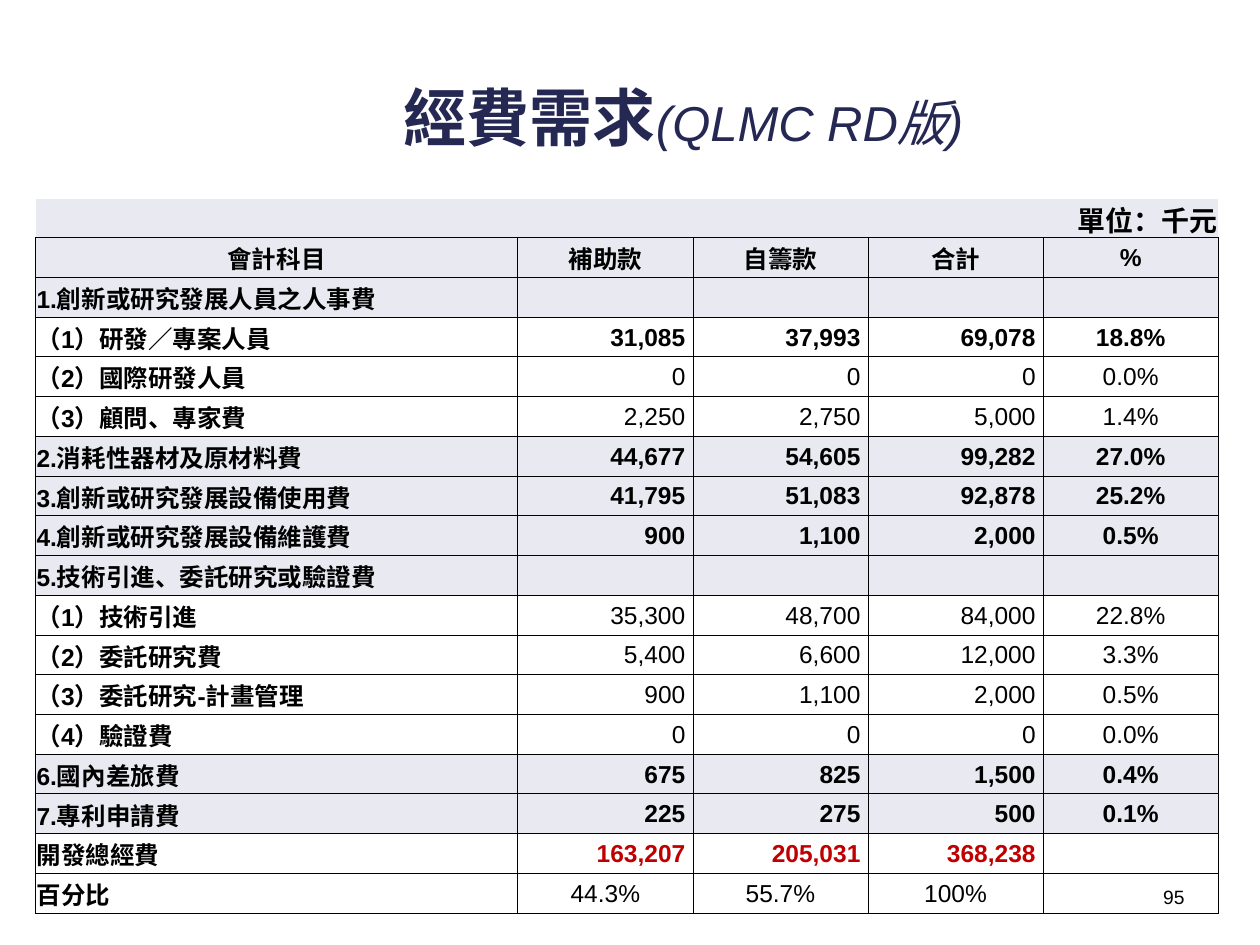
from lxml import etree
from pptx import Presentation
from pptx.dml.color import RGBColor
from pptx.enum.text import MSO_ANCHOR as Anchor, PP_ALIGN as Align
from pptx.oxml.ns import qn
from pptx.util import Inches, Pt

NAVY = RGBColor(0x24, 0x28, 0x52)
BLACK = RGBColor(0, 0, 0)
WHITE = RGBColor(0xFF, 0xFF, 0xFF)
RED = RGBColor(0xC0, 0, 0)
SHADE = RGBColor(0xE9, 0xEA, 0xF1)
FONT = "Arial"

UNIT = "單位：千元"
HEADER = ["會計科目", "補助款", "自籌款", "合計", "%"]
TOTAL = "開發總經費"
SHARE = "百分比"
BUDGET = [
    ["1.創新或研究發展人員之人事費", "", "", "", ""],
    ["（1）研發／專案人員", "31,085", "37,993", "69,078", "18.8%"],
    ["（2）國際研發人員", "0", "0", "0", "0.0%"],
    ["（3）顧問、專家費", "2,250", "2,750", "5,000", "1.4%"],
    ["2.消耗性器材及原材料費", "44,677", "54,605", "99,282", "27.0%"],
    ["3.創新或研究發展設備使用費", "41,795", "51,083", "92,878", "25.2%"],
    ["4.創新或研究發展設備維護費", "900", "1,100", "2,000", "0.5%"],
    ["5.技術引進、委託研究或驗證費", "", "", "", ""],
    ["（1）技術引進", "35,300", "48,700", "84,000", "22.8%"],
    ["（2）委託研究費", "5,400", "6,600", "12,000", "3.3%"],
    ["（3）委託研究-計畫管理", "900", "1,100", "2,000", "0.5%"],
    ["（4）驗證費", "0", "0", "0", "0.0%"],
    ["6.國內差旅費", "675", "825", "1,500", "0.4%"],
    ["7.專利申請費", "225", "275", "500", "0.1%"],
    [TOTAL, "163,207", "205,031", "368,238", ""],
    [SHARE, "44.3%", "55.7%", "100%", ""],
]
BOLD_DETAIL = "（1）研發／專案人員"


def style_paragraph(paragraph, align, color, size=None, bold=None):
    paragraph.alignment = align
    font = paragraph.font
    font.name = FONT
    font.color.rgb = color
    font.size = Pt(size) if size else None
    font.bold = bold


def add_text(slide, left, top, width, height, anchor):
    frame = slide.shapes.add_textbox(
        Inches(left), Inches(top), Inches(width), Inches(height)).text_frame
    frame.word_wrap = True
    frame.vertical_anchor = anchor
    return frame.paragraphs[0]


def add_title(slide):
    paragraph = add_text(slide, 1.35, 0.61, 8.15, 0.62, Anchor.MIDDLE)
    style_paragraph(paragraph, Align.CENTER, NAVY)
    for text, size, is_main in (("經費需求", 36, True), ("(QLMC RD版)", 28, False)):
        run = paragraph.add_run()
        run.text = text
        run.font.size = Pt(size)
        run.font.bold = is_main
        run.font.italic = not is_main


def set_borders(cell, colors):
    """Draw left, right, top and bottom lines; white ones are 1 pt."""
    properties = cell._tc.get_or_add_tcPr()
    for index, (side, color) in enumerate(zip("LRTB", colors)):
        width = Pt(1) if color == WHITE else Pt(0.5)
        line = etree.Element(qn(f"a:ln{side}"), w=str(int(width)))
        fill = etree.SubElement(line, qn("a:solidFill"))
        etree.SubElement(fill, qn("a:srgbClr"), val=str(color))
        properties.insert(index, line)


def fill_cell(cell, text, align, color=BLACK, size=14, bold=True, shaded=False):
    cell.text = text
    cell.vertical_anchor = Anchor.MIDDLE
    cell.margin_left = cell.margin_right = cell.margin_top = Inches(0.01)
    cell.margin_bottom = 0
    style_paragraph(cell.text_frame.paragraphs[0], align, color, size, bold)
    if shaded:
        cell.fill.solid()
        cell.fill.fore_color.rgb = SHADE
    else:
        cell.fill.background()


def fill_budget_row(cells, values):
    label = values[0]
    is_group = label[0].isdigit()
    bold_numbers = is_group or label in (BOLD_DETAIL, TOTAL)
    for column, (cell, text) in enumerate(zip(cells, values)):
        is_number = 0 < column < 4 and label != SHARE
        if column == 0:
            align = Align.LEFT
        else:
            align = Align.RIGHT if is_number else Align.CENTER
        color = RED if label == TOTAL and column else BLACK
        fill_cell(cell, text, align, color,
                  bold=column == 0 or bold_numbers, shaded=is_group)
        if is_number:
            cell.margin_right = Inches(0.06)


def add_budget_table(slide):
    row_count = len(BUDGET) + 2
    table = slide.shapes.add_table(
        row_count, len(HEADER), Inches(0.28), Inches(1.57),
        Inches(9.39), Inches(5.68)).table
    table.first_row = table.horz_banding = False
    for column, width in zip(table.columns, [3.83] + [1.39] * 4):
        column.width = Inches(width)
    rows = [list(row.cells) for row in table.rows]

    # Unit row, merged across the table
    rows[0][0].merge(rows[0][-1])
    fill_cell(rows[0][0], UNIT, Align.RIGHT, size=16, shaded=True)

    # Header and budget rows
    for cell, text in zip(rows[1], HEADER):
        fill_cell(cell, text, Align.CENTER, shaded=True)
    for cells, values in zip(rows[2:], BUDGET):
        fill_budget_row(cells, values)

    # Borders: the unit row is open on three sides
    for index, cells in enumerate(rows):
        for cell in cells:
            set_borders(cell, [BLACK if index else WHITE] * 3 + [BLACK])


def add_page_number(slide):
    paragraph = add_text(slide, 7.17, 6.98, 2.33, 0.37, Anchor.TOP)
    paragraph.text = "95"
    style_paragraph(paragraph, Align.RIGHT, BLACK, 11)


def main():
    presentation = Presentation()
    presentation.slide_width = Inches(10)
    presentation.slide_height = Inches(7.5)
    slide = presentation.slides.add_slide(presentation.slide_layouts[6])
    add_title(slide)
    add_budget_table(slide)
    add_page_number(slide)
    presentation.save("out.pptx")


if __name__ == "__main__":
    main()
